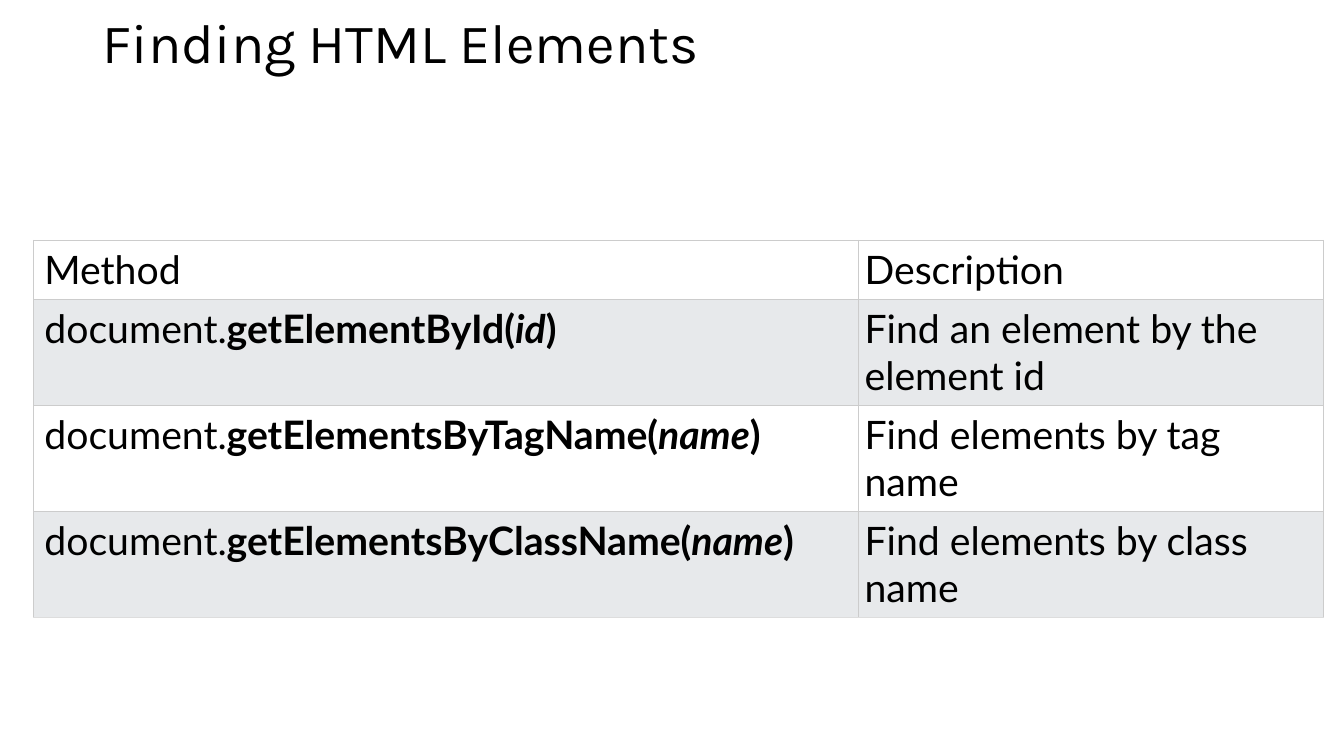
from dataclasses import dataclass

import lxml.etree
import pptx
import pptx.dml.color
import pptx.enum.text
import pptx.oxml.ns
import pptx.util

Cm = pptx.util.Cm
Pt = pptx.util.Pt


@dataclass(frozen=True)
class Theme:
    text: str = "000000"
    plain: str = "FFFFFF"
    band: str = "E7E9EB"
    border: str = "CCCCCC"
    last_border: str = "DDDDDD"
    title_font: str = "Karla"
    body_font: str = "Lato"
    title_size: float = 39.6
    body_size: float = 28
    border_width: float = 0.5


@dataclass(frozen=True)
class Method:
    name: str
    argument: str
    description: str


THEME = Theme()
METHODS = [
    Method("getElementById", "id", "Find an element by the element id"),
    Method("getElementsByTagName", "name", "Find elements by tag name"),
    Method("getElementsByClassName", "name", "Find elements by class name"),
]
COLUMN_WIDTHS = (20.8, 11.71)
LEFT_INSETS = (0.28, 0.15)
INSET = 0.15
HEADER_HEIGHT = 1.45
ROW_HEIGHT = 2.65


def rgb(color: str) -> pptx.dml.color.RGBColor:
    return pptx.dml.color.RGBColor.from_string(color)


def add_run(p, text: str, font: str, size: float,
            bold: bool = False, italic: bool = False) -> None:
    r = p.add_run()
    r.text = text
    r.font.name = font
    r.font.size = Pt(size)
    r.font.color.rgb = rgb(THEME.text)
    r.font.bold = bold
    r.font.italic = italic


def add_body_run(p, text: str, bold: bool = False, italic: bool = False) -> None:
    add_run(p, text, THEME.body_font, THEME.body_size, bold, italic)


def add_title(slide, text: str) -> None:
    sp = slide.shapes.add_textbox(Cm(2.34), Cm(0.23), Cm(29.21), Cm(1.63))
    tf = sp.text_frame
    tf.word_wrap = True
    tf.vertical_anchor = pptx.enum.text.MSO_ANCHOR.MIDDLE
    tf.margin_top = tf.margin_bottom = 0
    add_run(tf.paragraphs[0], text, THEME.title_font, THEME.title_size)


def set_borders(cell, bottom: str) -> None:
    qn = pptx.oxml.ns.qn
    tc_pr = cell._tc.get_or_add_tcPr()
    for side in ("L", "R", "T", "B"):
        ln = lxml.etree.SubElement(tc_pr, qn(f"a:ln{side}"),
                                   w=str(int(Pt(THEME.border_width))))
        fill = lxml.etree.SubElement(ln, qn("a:solidFill"))
        color = bottom if side == "B" else THEME.border
        lxml.etree.SubElement(fill, qn("a:srgbClr"), val=color)


def style_cell(cell, left_inset: float, fill: str, bottom: str) -> None:
    cell.margin_left = Cm(left_inset)
    cell.margin_right = cell.margin_top = cell.margin_bottom = Cm(INSET)
    set_borders(cell, bottom)
    cell.fill.solid()
    cell.fill.fore_color.rgb = rgb(fill)


def add_method_table(slide, methods: list[Method]) -> None:
    count = len(methods)
    table = slide.shapes.add_table(
        count + 1, len(COLUMN_WIDTHS), Cm(0.84), Cm(6.05),
        Cm(sum(COLUMN_WIDTHS)), Cm(HEADER_HEIGHT + count * ROW_HEIGHT)).table
    for column, width in zip(table.columns, COLUMN_WIDTHS):
        column.width = Cm(width)
    for i, row in enumerate(table.rows):
        row.height = Cm(ROW_HEIGHT if i else HEADER_HEIGHT)
        fill = THEME.band if i % 2 else THEME.plain
        bottom = THEME.last_border if i == count else THEME.border
        for cell, left_inset in zip(row.cells, LEFT_INSETS):
            style_cell(cell, left_inset, fill, bottom)

    for j, heading in enumerate(("Method", "Description")):
        add_body_run(table.cell(0, j).text_frame.paragraphs[0], heading)
    for i, method in enumerate(methods, start=1):
        p = table.cell(i, 0).text_frame.paragraphs[0]
        add_body_run(p, "document.")
        add_body_run(p, f"{method.name}(", bold=True)
        add_body_run(p, method.argument, bold=True, italic=True)
        add_body_run(p, ")", bold=True)
        add_body_run(table.cell(i, 1).text_frame.paragraphs[0], method.description)


def main() -> None:
    prs = pptx.Presentation()
    prs.slide_width = Cm(33.87)
    prs.slide_height = Cm(19.05)
    slide = prs.slides.add_slide(prs.slide_layouts[6])
    add_title(slide, "Finding HTML Elements")
    add_method_table(slide, METHODS)
    prs.save("out.pptx")


if __name__ == "__main__":
    main()
